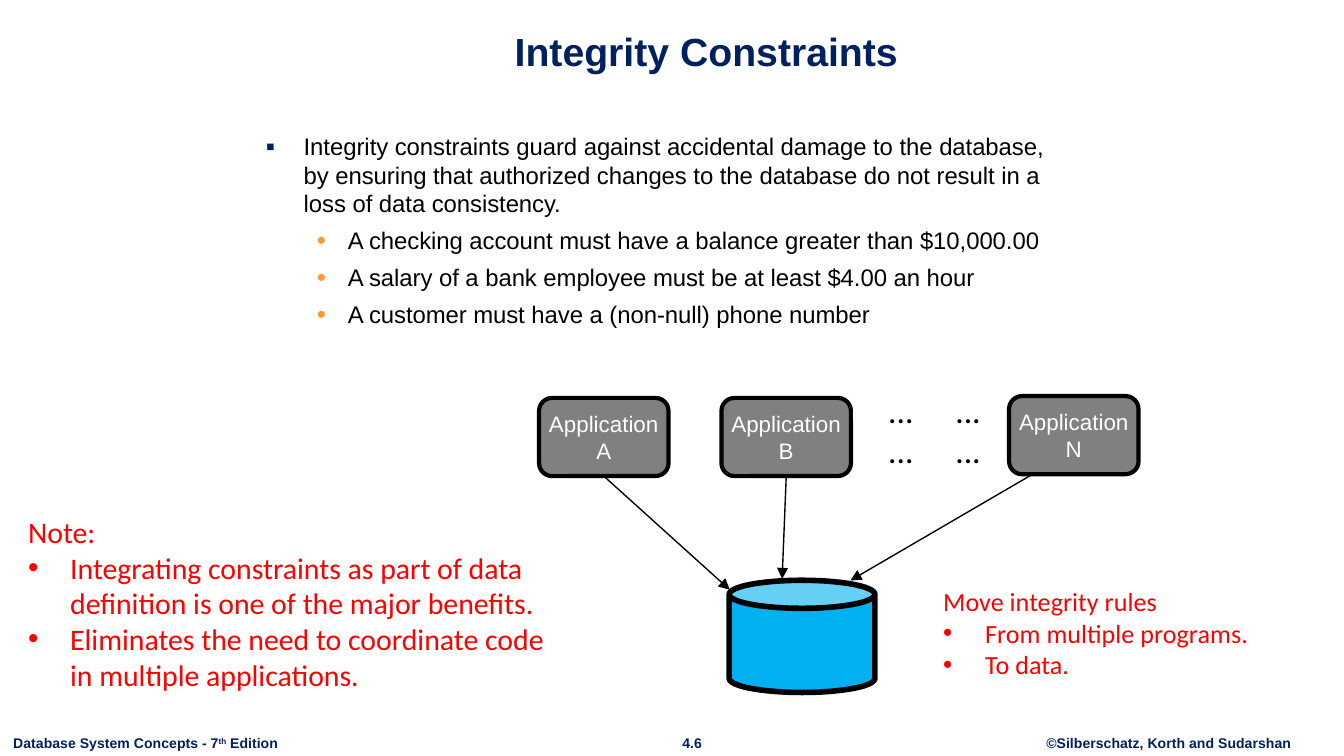
from copy import deepcopy
from lxml.etree import SubElement
from pptx import Presentation
from pptx.dml.color import RGBColor
from pptx.enum.shapes import MSO_CONNECTOR, MSO_SHAPE
from pptx.enum.text import MSO_ANCHOR, PP_ALIGN
from pptx.oxml.ns import qn
from pptx.util import Pt

NAVY = RGBColor(0x00, 0x20, 0x60)
ORANGE = RGBColor(0xFF, 0x99, 0x33)
RED = RGBColor(0xFF, 0x00, 0x00)
BLACK = RGBColor(0x00, 0x00, 0x00)
WHITE = RGBColor(0xFF, 0xFF, 0xFF)
GRAY = RGBColor(0x80, 0x80, 0x80)
BLUE = RGBColor(0x00, 0xB0, 0xF0)

TITLE = "Integrity Constraints"
RULE = ("Integrity constraints guard against accidental damage to the database, "
        "by ensuring that authorized changes to the database do not result in a "
        "loss of data consistency.")
EXAMPLES = ["A checking account must have a balance greater than $10,000.00",
            "A salary of a bank employee must be at least $4.00 an hour",
            "A customer must have a (non-null) phone number"]
NOTES = [
    ((8, 271.5, 294.5, 104.4), 16, "Note:",
     ["Integrating constraints as part of data\ndefinition is one of the major benefits.",
      "Eliminates the need to coordinate code\nin multiple applications."]),
    ((498.2, 310.3, 179.3, 58.3), 14, "Move integrity rules",
     ["From multiple programs.", "To data."]),
]
FOOTERS = [
    (0, 157, PP_ALIGN.LEFT, ("Database System Concepts - 7", "th", " Edition")),
    (355.7, 30.2, PP_ALIGN.CENTER, "4.6"),
    (553, 146.2, PP_ALIGN.CENTER, "©Silberschatz, Korth and Sudarshan"),
]
APP_SIZE = (69.4, 41.9)
APPS = [
    ("A", (288.8, 213.2), None, (391, 316)),
    ("B", (386.5, 213.2), None, (419, 310.2)),
    ("N", (540.6, 212.2), (553, 254.2), (455.6, 311)),
]
DATABASE = (390.6, 310.9, 78.1, 60.1)
ELLIPSES = ["...\t..."] * 2


def write(frame, text, *, first=False, size=12, font="Arial", color=BLACK, bold=False,
          align=PP_ALIGN.LEFT, before=0, indent=None, bullet=None,
          bullet_color=None, bullet_size=100, tab=None):
    para = frame.paragraphs[0] if first else frame.add_paragraph()
    para.alignment = align
    para.space_before = Pt(0 if first else before)
    props = para._p.get_or_add_pPr()
    if bullet:
        margin, hang = indent
        props.set("marL", str(Pt(margin)))
        props.set("indent", str(-Pt(hang)))
        if bullet_color:
            SubElement(SubElement(props, qn("a:buClr")), qn("a:srgbClr"), val=str(bullet_color))
        SubElement(props, qn("a:buSzPct"), val=str(bullet_size * 1000))
        SubElement(props, qn("a:buFont"), typeface="Arial")
        SubElement(props, qn("a:buChar"), char=bullet)
    if tab:
        stops = SubElement(props, qn("a:tabLst"))
        SubElement(stops, qn("a:tab"), pos=str(Pt(tab)), algn="l")
    if isinstance(text, str):
        para.text = text
    else:
        for part in text:
            para.add_run().text = part
        para.runs[1].font._element.set("baseline", "30000")
    for run in para.runs:
        run.font.size = Pt(size)
        run.font.name = font
        run.font.bold = bold
        run.font.color.rgb = color
    for line_break in para._p.findall(qn("a:br")):
        line_break.append(deepcopy(para.runs[0].font._element))


def text_frame(box):
    frame = slide.shapes.add_textbox(*map(Pt, box)).text_frame
    frame.word_wrap = True
    return frame


def outlined(kind, box, fill, width):
    shape = slide.shapes.add_shape(kind, *map(Pt, box))
    shape.shadow.inherit = False
    shape.fill.solid()
    shape.fill.fore_color.rgb = fill
    shape.line.color.rgb = BLACK
    shape.line.width = Pt(width)
    return shape


prs = Presentation()
prs.slide_width, prs.slide_height = Pt(720), Pt(405)
slide = prs.slides.add_slide(prs.slide_layouts[5])

for left, width, align, text in FOOTERS:
    write(text_frame((left, 390.2, width, 16.6)), text, first=True, size=7.5,
          color=NAVY, bold=True, align=align)

title = slide.shapes.title
title.left, title.top, title.width, title.height = map(Pt, (60.5, 7.2, 635.8, 36))
title.text_frame.vertical_anchor = MSO_ANCHOR.BOTTOM
write(title.text_frame, TITLE, first=True, size=21, color=NAVY, bold=True, align=PP_ALIGN.CENTER)

body = text_frame((135.4, 67, 443.5, 254.2))
write(body, RULE, first=True, size=12.75, indent=(20.2, 20.2),
      bullet="▪", bullet_color=NAVY, bullet_size=110)
for example in EXAMPLES:
    write(body, example, size=12.75, before=4.5, indent=(43.9, 16.6),
          bullet="•", bullet_color=ORANGE, bullet_size=110)

for box, size, heading, points in NOTES:
    note = text_frame(box)
    write(note, heading, first=True, size=size, font="Calibri", color=RED)
    for point in points:
        write(note, point, size=size, font="Calibri", color=RED, indent=(22.5, 22.5), bullet="•")

outlined(MSO_SHAPE.CAN, DATABASE, BLUE, 3)

for letter, corner, start, end in APPS:
    app = outlined(MSO_SHAPE.ROUNDED_RECTANGLE, corner + APP_SIZE, GRAY, 2.25)
    app.text_frame.word_wrap = False
    app.text_frame.vertical_anchor = MSO_ANCHOR.MIDDLE
    write(app.text_frame, f"Application\n{letter}", first=True, color=WHITE, align=PP_ALIGN.CENTER)
    arrow = slide.shapes.add_connector(MSO_CONNECTOR.STRAIGHT, *map(Pt, (start or corner) + end))
    if start is None:
        arrow.begin_connect(app, 2)
    arrow.line.color.rgb = BLACK
    arrow.line.width = Pt(0.75)
    SubElement(arrow.line._get_or_add_ln(), qn("a:tailEnd"), type="triangle")
    SubElement(arrow._element.spPr, qn("a:effectLst"))

dots = text_frame((468.7, 205.2, 64.8, 51.1))
for row, ellipsis in enumerate(ELLIPSES):
    write(dots, ellipsis, first=row == 0, size=18, font="Calibri", tab=36)

prs.save("out.pptx")
